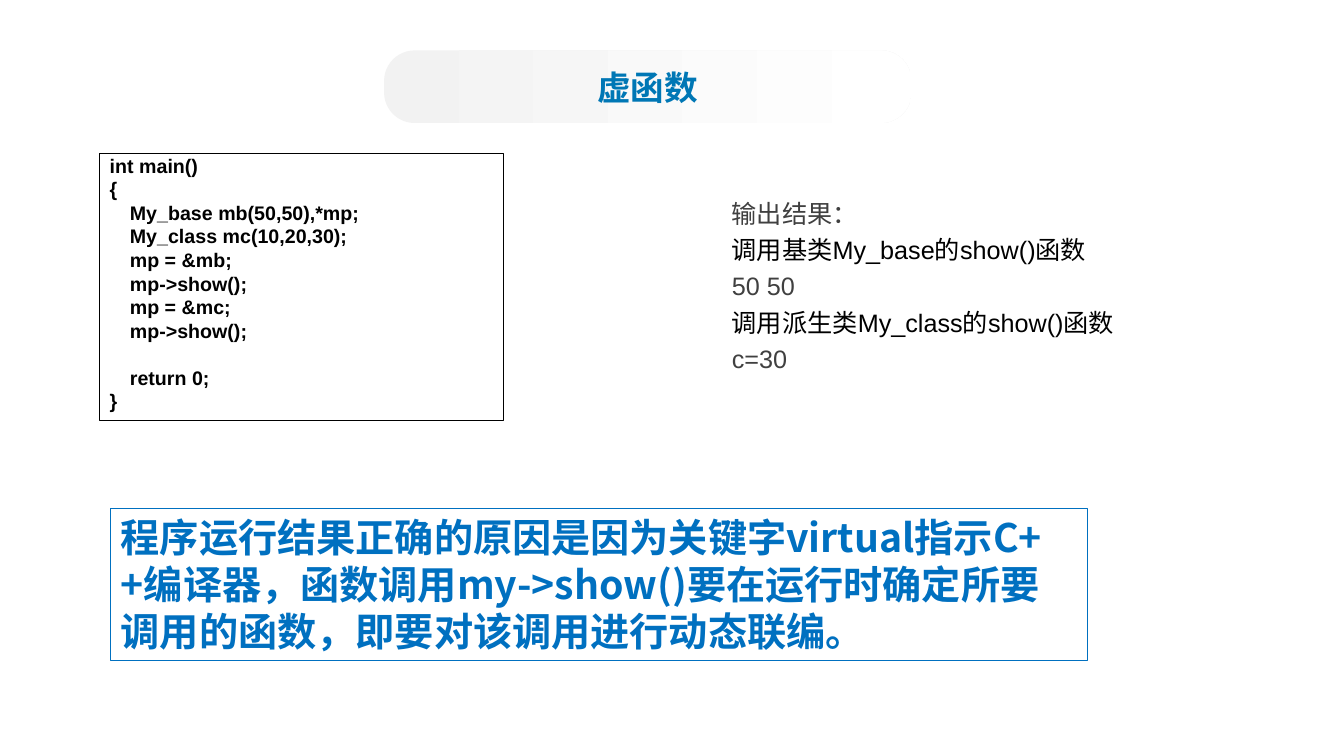
from lxml.etree import SubElement
from pptx import Presentation
from pptx.dml.color import RGBColor
from pptx.enum.shapes import MSO_SHAPE
from pptx.enum.text import MSO_ANCHOR, PP_ALIGN
from pptx.oxml.ns import qn
from pptx.util import Inches, Pt

TITLE = "虚函数"
CODE = [
    "int main()",
    "{",
    "\tMy_base mb(50,50),*mp;",
    "\tMy_class mc(10,20,30);",
    "\tmp = &mb;",
    "\tmp->show();",
    "\tmp = &mc;",
    "\tmp->show();",
    "\t",
    "\treturn 0;",
    "}",
]
OUTPUT = [
    ("输出结果：", "gray"),
    ("调用基类My_base的show()函数", "black"),
    ("50 50", "gray"),
    ("调用派生类My_class的show()函数", "black"),
    ("c=30", "gray"),
]
REASON = ("程序运行结果正确的原因是因为关键字virtual指示C++编译器，"
          "函数调用my->show()要在运行时确定所要调用的函数，即要对该调用进行动态联编。")

COLORS = {
    "title": "0077B5", "reason": "0070C0", "black": "000000", "gray": "404040",
    "white": "FFFFFF", "band": "F2F2F2",
}
LATIN, CHINESE = "Arial", "Noto Sans CJK SC"

# left, top, width, height in inches
TITLE_BAND = (3.81, 0.5, 5.23, 0.72)
CODE_BOX = (0.99, 1.52, 4, 2.65)
OUTPUT_BOX = (7.16, 1.86, 4.03, 1.89)
REASON_BOX = (1.1, 5.04, 9.69, 1.51)
CODE_INDENT = 0.2


def color(name):
    return RGBColor.from_string(COLORS[name])


def place(box):
    return [Inches(length) for length in box]


def add_text(paragraph, text, size, font_name, color_name, bold=False):
    run = paragraph.add_run()
    run.text = text
    font = run.font
    font.size, font.bold, font.name = Pt(size), bold, font_name
    font.color.rgb = color(color_name)
    SubElement(run._r.get_or_add_rPr(), qn("a:ea"), typeface=CHINESE)


def paragraphs(frame, count):
    """Yield the frame's first paragraph, then new ones up to count."""
    yield frame.paragraphs[0]
    for _ in range(count - 1):
        yield frame.add_paragraph()


def add_framed_box(slide, box, line_color):
    shape = slide.shapes.add_shape(MSO_SHAPE.RECTANGLE, *place(box))
    shape.shadow.inherit = False
    shape.fill.solid()
    shape.fill.fore_color.rgb = color("white")
    shape.line.color.rgb = color(line_color)
    shape.line.width = Pt(0.75)
    frame = shape.text_frame
    frame.word_wrap = True
    frame.vertical_anchor = MSO_ANCHOR.TOP
    return frame


def add_title(slide):
    band = slide.shapes.add_shape(MSO_SHAPE.ROUNDED_RECTANGLE, *place(TITLE_BAND))
    band.shadow.inherit = False
    band.adjustments[0] = 0.42
    band.line.fill.background()
    band.fill.gradient()
    band.fill.gradient_angle = 0
    for stop, name, position in zip(band.fill.gradient_stops, ("band", "white"), (0, 0.99)):
        stop.color.rgb = color(name)
        stop.position = position

    title = slide.shapes.title
    title.left, title.top, title.width, title.height = place(TITLE_BAND)
    slide.shapes._spTree.append(title._element)  # bring the title above its band
    title.text_frame.vertical_anchor = MSO_ANCHOR.MIDDLE
    paragraph = title.text_frame.paragraphs[0]
    paragraph.alignment = PP_ALIGN.CENTER
    add_text(paragraph, TITLE, 24, CHINESE, "title", bold=True)


def add_code(slide):
    frame = add_framed_box(slide, CODE_BOX, "black")
    for index, (paragraph, text) in enumerate(zip(paragraphs(frame, len(CODE)), CODE)):
        paragraph.alignment = PP_ALIGN.LEFT
        paragraph.line_spacing = 0.8
        paragraph.space_before = Pt(3.4 if index else 0)
        properties = paragraph._p.get_or_add_pPr()
        properties.set("marL", str(Inches(CODE_INDENT)))
        properties.set("indent", str(-Inches(CODE_INDENT)))
        add_text(paragraph, text, 14, LATIN, "black", bold=True)


def add_output(slide):
    frame = slide.shapes.add_textbox(*place(OUTPUT_BOX)).text_frame
    frame.word_wrap = True
    frame.vertical_anchor = MSO_ANCHOR.MIDDLE
    for paragraph, (text, color_name) in zip(paragraphs(frame, len(OUTPUT)), OUTPUT):
        paragraph.line_spacing = 1.2
        add_text(paragraph, text, 18, LATIN, color_name)


def add_reason(slide):
    paragraph = add_framed_box(slide, REASON_BOX, "reason").paragraphs[0]
    paragraph.alignment = PP_ALIGN.LEFT
    add_text(paragraph, REASON, 28, CHINESE, "reason", bold=True)


def main():
    presentation = Presentation()
    presentation.slide_width, presentation.slide_height = Inches(13.33), Inches(7.5)
    slide = presentation.slides.add_slide(presentation.slide_layouts.get_by_name("Title Only"))
    add_title(slide)
    add_code(slide)
    add_reason(slide)
    add_output(slide)
    presentation.save("out.pptx")


if __name__ == "__main__":
    main()
